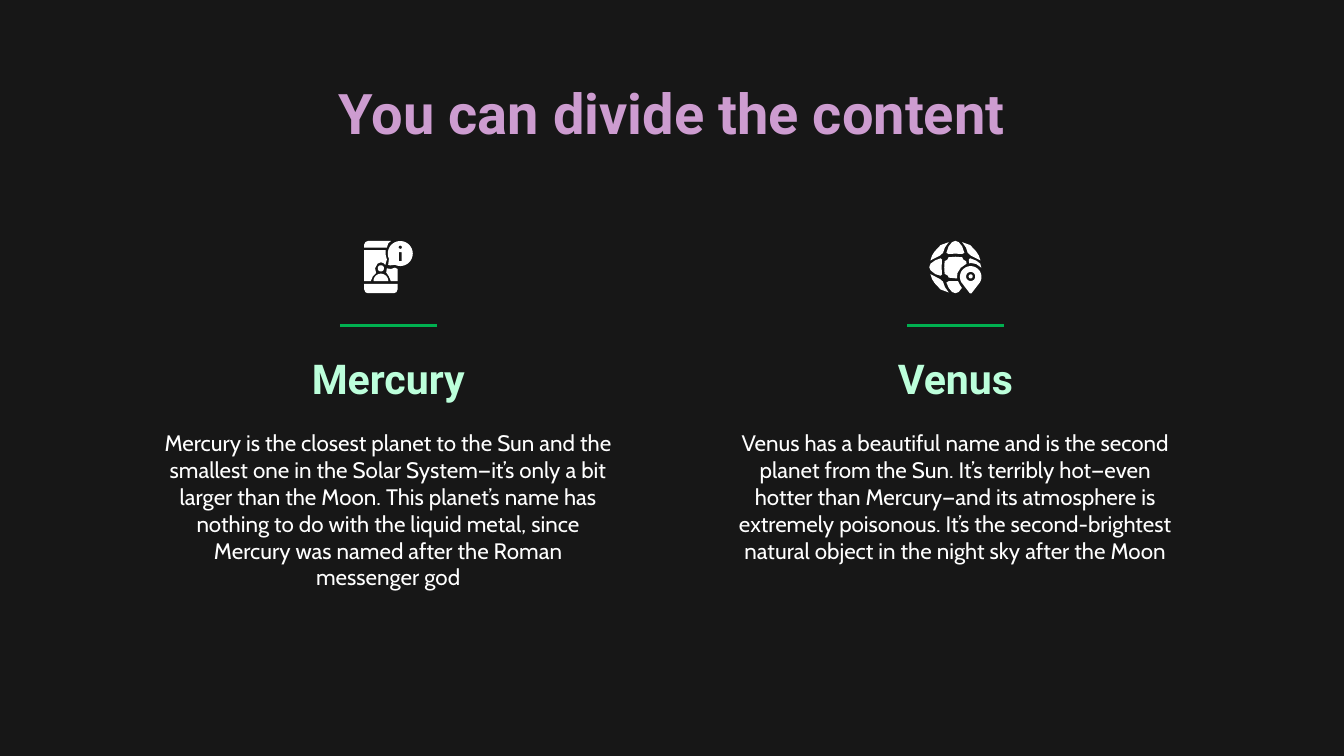
from math import cos, radians, sin

from lxml.etree import SubElement
from pptx import Presentation
from pptx.dml.color import RGBColor
from pptx.enum.shapes import MSO_CONNECTOR
from pptx.enum.text import MSO_ANCHOR, PP_ALIGN
from pptx.oxml.ns import qn
from pptx.util import Inches, Pt

WIDTH, HEIGHT = Inches(10), Inches(5.625)
WHITE, DARK, GREEN = "FFFFFF", "171717", "00B050"
BLUE, MAUVE, MINT = "9CCAED", "CD9CD0", "BCFFDB"

TITLE = {"name": "Roboto", "size": Pt(30), "bold": True}
HEADING = {"name": "Roboto", "size": Pt(22), "bold": True}
BODY = {"name": "Cabin", "size": Pt(12), "bold": False}

UNIT = Inches(0.01)  # icons are drawn on a grid of this step
FINE = 100           # subdivisions that keep fractions of a step


def color(value):
    return RGBColor.from_string(value)


def across(percent):
    return round(WIDTH * percent / 100)


def down(percent):
    return round(HEIGHT * percent / 100)


def arc(x, y, radius, start=0, end=360):
    """Points on a circle, clockwise, angles in degrees."""
    angles = [radians(start + (end - start) * step / 36) for step in range(37)]
    return [(x + radius * cos(a), y + radius * sin(a)) for a in angles]


def mirror_x(points):
    return [(-x, y) for x, y in points]


def mirror_y(points, height=39.4):
    return [(x, height - y) for x, y in points]


def globe_icon():
    """Pieces as lists of contours: x from the icon's centre, y from its top."""
    corner = [(5, 1), (7.8, 5), (9.2, 9), (11.5, 11), (18.6, 14.6),
              (17.4, 11), (15.5, 8), (11, 3.2)]
    top = [(-6.7, 9), (-5, 4), (-2.5, 1), (0, 0), (2.5, 1), (5, 4),
           (6.7, 9), (5, 9.8), (0, 9.5), (-5, 9.8)]
    left = [(-11, 13), (-15, 14.5), (-18.5, 17), (-19.5, 19.7), (-18.5, 22),
            (-15, 24.8), (-11, 26), (-10, 25), (-10.3, 19.7), (-10, 14)]
    right = [(11, 13), (10, 14), (10.2, 16.8), (11.5, 16.5), (15.5, 17.3),
             (19.3, 20), (18.5, 17), (15.5, 14.8)]
    bottom = [(-5, 30), (-6.7, 31), (-5, 35), (-2.5, 38), (0, 39),
              (2.5, 38), (4.8, 35), (3.5, 33), (2, 30), (0, 30)]
    centre = [(-5, 12.2), (0, 11.8), (5, 12.2), (6, 14), (8, 15.2),
              (8.3, 17), (4, 20), (1.5, 24), (1.2, 28), (-5, 27.4),
              (-5.5, 26), (-8, 24.5), (-8.3, 19.7), (-8, 15.2), (-6, 14)]
    pin = arc(11.4, 26.8, 8, 150, 390) + [(12, 39), (10.8, 39)]
    corners = [corner, mirror_x(corner), mirror_y(mirror_x(corner))]
    pieces = [[shape] for shape in [*corners, top, left, right, bottom, centre]]
    return pieces + [[pin, arc(11.4, 26.5, 3.4)], [arc(11.4, 26.5, 1.5)]]


def phone_icon():
    """Pieces as lists of contours: x from the icon's centre, y from its top."""
    top = [(-18, 5), (-18, 3), (-17, 1), (-15, 0), (2, 0), (0, 2), (-1, 5)]
    screen = [(-18, 7), (-2, 7), (-2, 10), (-1, 14), (-2.2, 18), (-3.5, 16.6),
              (-5.5, 16), (-8, 17), (-9.8, 20.5), (-9, 24), (-11.5, 26.5),
              (-13, 30), (-18, 30)]
    edge = [(5, 20), (2, 21), (-1, 20.5), (-1.5, 23.5), (0.5, 26.5),
            (2, 30), (7, 30), (7, 21)]
    bottom = [(-18, 32), (7, 32), (7, 36), (6, 38.3), (4, 39),
              (-15, 39), (-17, 38.3), (-18, 36)]
    person = [arc(-5.5, 30, 5.5, 180, 360), arc(-5.5, 20.5, 2.3)]
    bubble = arc(9, 9.5, 9.3, 155, 475) + [(1.5, 18.3), (0, 18)]
    stem = [(7.9, 8.5), (10.1, 8.5), (10.1, 15.2), (7.9, 15.2)]
    pieces = [[shape] for shape in [top, screen, edge, bottom, *person]]
    return pieces + [[bubble, arc(9, 4.8, 1.2), stem]]


def add_icon(page, pieces, centre, top):
    group = page.shapes.add_group_shape()
    for contours in pieces:
        scaled = [[(x * FINE, y * FINE) for x, y in line] for line in contours]
        builder = group.shapes.build_freeform(*scaled[0][0], scale=UNIT / FINE)
        builder.add_line_segments(scaled[0][1:])
        for hole in scaled[1:]:
            builder.move_to(*hole[0])
            builder.add_line_segments(hole[1:])
        shape = builder.convert_to_shape(centre, top)
        shape.shadow.inherit = False
        shape.fill.solid()
        shape.fill.fore_color.rgb = color(WHITE)
        shape.line.fill.background()


def add_text(page, box, text, style, colors, anchor=MSO_ANCHOR.TOP):
    """Centred text; two colours make a gradient from left to right."""
    frame = page.shapes.add_textbox(*box).text_frame
    margins = {f"margin_{side}": Inches(0.1)
               for side in ("left", "top", "right", "bottom")}
    for name, value in {"word_wrap": True, "vertical_anchor": anchor,
                        **margins}.items():
        setattr(frame, name, value)
    para = frame.paragraphs[0]
    para.alignment = PP_ALIGN.CENTER
    span = para.add_run()
    span.text = text
    for name, value in style.items():
        setattr(span.font, name, value)
    fill = span.font.fill
    if len(colors) == 1:
        fill.solid()
        fill.fore_color.rgb = color(colors[0])
        return
    fill.gradient()
    fill.gradient_angle = 0
    for stop, value in zip(fill.gradient_stops, colors):
        stop.color.rgb = color(value)


def add_rule(page, centre, y, length):
    rule = page.shapes.add_connector(
        MSO_CONNECTOR.STRAIGHT, centre - length // 2, y, centre + length // 2, y)
    rule.line.color.rgb = color(GREEN)
    rule.line.width = Pt(1.5)
    SubElement(rule._element.spPr, qn("a:effectLst"))


def add_column(page, left, width, icon, heading, body):
    """Icon, rule, heading and text, stacked and centred."""
    centre = left + width // 2
    add_icon(page, icon, centre, down(31.86))
    add_rule(page, centre, down(43.06), across(7.2))
    add_text(page, (left, down(44.18), width, down(10.85)), heading,
             HEADING, (MINT, BLUE), MSO_ANCHOR.BOTTOM)
    add_text(page, (left, down(55), width, down(24.7)), body, BODY, (WHITE,))


def main():
    deck = Presentation()
    deck.slide_width, deck.slide_height = WIDTH, HEIGHT
    page = deck.slides.add_slide(deck.slide_layouts[6])
    page.background.fill.solid()
    page.background.fill.fore_color.rgb = color(DARK)
    add_text(page, (across(7.87), down(8.62), across(84.26), down(11.2)),
             "You can divide the content", TITLE, (MAUVE, BLUE))
    columns = [
        (phone_icon(), "Mercury",
         "Mercury is the closest planet to the Sun and the smallest one in the "
         "Solar System—it’s only a bit larger than the Moon. This planet’s name "
         "has nothing to do with the liquid metal, since Mercury was named "
         "after the Roman messenger god"),
        (globe_icon(), "Venus",
         "Venus has a beautiful name and is the second planet from the Sun. "
         "It’s terribly hot—even hotter than Mercury—and its atmosphere is "
         "extremely poisonous. It’s the second-brightest natural object in "
         "the night sky after the Moon"),
    ]
    for index, content in enumerate(columns):
        add_column(page, across(11.04 + 42.2 * index), across(35.7), *content)
    deck.save("out.pptx")


if __name__ == "__main__":
    main()
